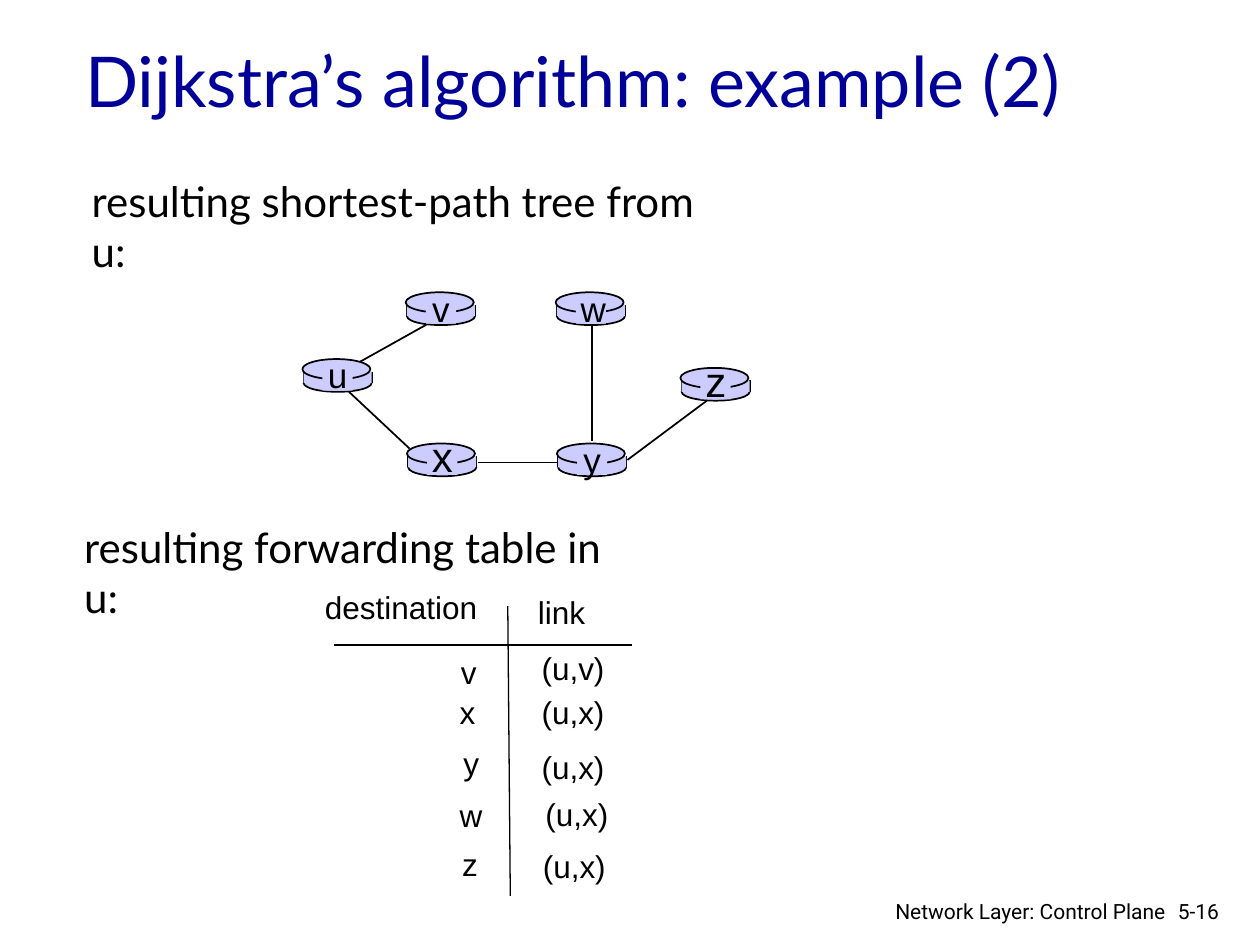
import pptx
import pptx.util
import pptx.dml.color
import pptx.enum.shapes
import pptx.enum.text
import pptx.oxml
import pptx.oxml.ns

Inches = pptx.util.Inches
Pt = pptx.util.Pt
SHAPE = pptx.enum.shapes.MSO_SHAPE
ALIGN = pptx.enum.text.PP_ALIGN
ANCHOR = pptx.enum.text.MSO_ANCHOR

NAVY, BLACK, LILAC = "000099", "000000", "CCCCFF"

TITLE = "Dijkstra’s algorithm: example (2)"
HEADINGS = [
    ("resulting shortest-path tree from u:", 0.63, 1.34, 5),
    ("resulting forwarding table in u:", 0.57, 4.09, 4.32),
]
ROUTERS = [
    ("u", 20, 2.4, 2.85),
    ("x", 24, 3.23, 3.52),
    ("v", 20, 3.22, 2.32),
    ("w", 20, 4.41, 2.32),
    ("y", 20, 4.42, 3.52),
    ("z", 24, 5.4, 2.92),
]
FIRST_LINK = (2.86, 2.87, 3.45, 2.54)
OTHER_LINKS = [
    (4.7, 2.59, 4.7, 3.5),
    (4.98, 3.65, 5.61, 3.18),
    (4.43, 3.67, 3.79, 3.67),
    (3.25, 3.56, 2.77, 3.11),
]
TABLE_RULES = [(4.03, 4.81, 4.05, 7.11), (2.65, 5.12, 5.02, 5.12)]
TABLE_HEADS = [("destination", 2.48, 4.62, 1.41), ("link", 4.17, 4.66, 0.58)]
TABLE_ROWS = [
    ("v", 3.56, 5.13, "(u,v)", 4.2, 5.1),
    ("x", 3.55, 5.45, "(u,x)", 4.2, 5.45),
    ("y", 3.58, 5.86, "(u,x)", 4.2, 5.89),
    ("w", 3.55, 6.27, "(u,x)", 4.23, 6.26),
    ("z", 3.57, 6.66, "(u,x)", 4.21, 6.67),
]

deck = pptx.Presentation()
deck.slide_width, deck.slide_height = Inches(10), Inches(7.5)
page = deck.slides.add_slide(deck.slide_layouts[6])


def colour(code):
    return pptx.dml.color.RGBColor.from_string(code)


def add_text(words, left, top, width, height, size, font="Arial", ink=BLACK,
             align=ALIGN.LEFT, anchor=ANCHOR.TOP, wrap=False):
    box = page.shapes.add_textbox(Inches(left), Inches(top), Inches(width), Inches(height))
    frame = box.text_frame
    frame.word_wrap = wrap
    frame.vertical_anchor = anchor
    para = frame.paragraphs[0]
    para.alignment = align
    span = para.add_run()
    span.text = words
    span.font.size = Pt(size)
    span.font.name = font
    span.font.color.rgb = colour(ink)


def add_line(x1, y1, x2, y2, weight=1):
    line = page.shapes.add_connector(
        pptx.enum.shapes.MSO_CONNECTOR.STRAIGHT,
        Inches(x1), Inches(y1), Inches(x2), Inches(y2))
    line.line.color.rgb = colour(BLACK)
    line.line.width = Pt(weight)
    properties = line._element.spPr
    properties.append(pptx.oxml.parse_xml(
        "<a:effectLst %s/>" % pptx.oxml.ns.nsdecls("a")))


def add_block(kind, left, top, width, height, outlined):
    block = page.shapes.add_shape(
        kind, Inches(left), Inches(top), Inches(width), Inches(height))
    block.shadow.inherit = False
    block.fill.solid()
    block.fill.fore_color.rgb = colour(LILAC)
    if outlined:
        block.line.color.rgb = colour(BLACK)
        block.line.width = Pt(1)
    else:
        block.line.fill.background()


def add_router(left, top):
    body, width = left + 0.01, 0.54
    add_block(SHAPE.OVAL, body, top + 0.12, width, 0.14, True)
    for side in (body, body + width):
        add_line(side, top + 0.1, side, top + 0.19)
    add_block(SHAPE.RECTANGLE, body, top + 0.1, width, 0.09, False)
    add_block(SHAPE.OVAL, left, top, width, 0.16, True)


def add_router_label(name, size, left, top):
    centre = left + 0.28
    rise, height = (0.15, 0.5) if size == 24 else (0.09, 0.43)
    add_block(SHAPE.RECTANGLE, centre - 0.12, top + 0.02, 0.24, 0.23, False)
    add_text(name, centre - 0.18, top - rise, 0.36, height, size, align=ALIGN.CENTER)


add_text(TITLE, 0.58, 0.17, 8.5, 0.93, 40, "Lato", NAVY, anchor=ANCHOR.MIDDLE, wrap=True)

add_line(*FIRST_LINK)
for name, size, left, top in ROUTERS:
    add_router(left, top)
for link in OTHER_LINKS:
    add_line(*link)
for router in ROUTERS:
    add_router_label(*router)

for words, left, top, width in HEADINGS:
    add_text(words, left, top, width, 0.5, 24, "Lato", wrap=True)

for rule in TABLE_RULES:
    add_line(*rule, weight=0.75)
for words, left, top, width in TABLE_HEADS:
    add_text(words, left, top, width, 0.4, 18)
for node, node_left, node_top, link, link_left, link_top in TABLE_ROWS:
    add_text(node, node_left, node_top, 0.38 if node == "w" else 0.33, 0.4, 18)
    add_text(link, link_left, link_top, 0.7, 0.4, 18)

add_text("5-16", 9.25, 7.08, 0.6, 0.3, 12, "Roboto", wrap=True)
add_text("Network Layer: Control Plane", 6.97, 7.08, 2.38, 0.26, 12, "Roboto",
         align=ALIGN.RIGHT, wrap=True)

deck.save("out.pptx")
